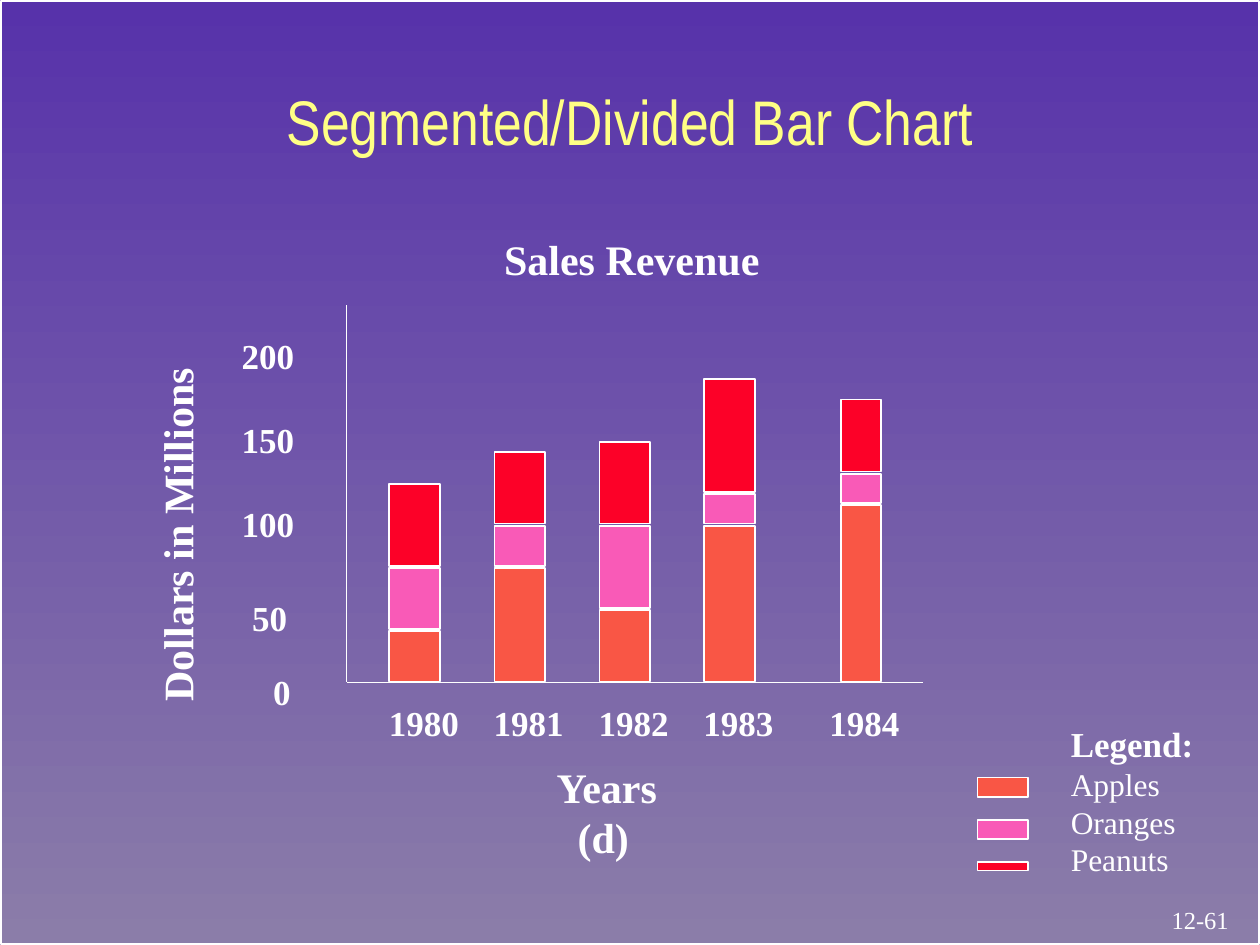
import pptx
import pptx.dml.color
import pptx.enum.shapes
import pptx.enum.text
import pptx.util
from lxml import etree

Pt = pptx.util.Pt
ALIGN = pptx.enum.text.PP_ALIGN
RECT = pptx.enum.shapes.MSO_SHAPE.RECTANGLE
LINE = pptx.enum.shapes.MSO_CONNECTOR.STRAIGHT
WHITE = "FFFFFF"
SERIF = "Times New Roman"


def tint(text):
    return pptx.dml.color.RGBColor.from_string(text)


def box(left, top, width, height, fill=None):
    """Add a white-edged rectangle, hollow unless a fill is given."""
    shape = slide.shapes.add_shape(RECT, Pt(left), Pt(top), Pt(width), Pt(height))
    shape.shadow.inherit = False
    if fill:
        shape.fill.solid()
        shape.fill.fore_color.rgb = tint(fill)
    else:
        shape.fill.background()
    shape.line.color.rgb = tint(WHITE)
    shape.line.width = Pt(1)


deck = pptx.Presentation()
deck.slide_width, deck.slide_height = Pt(720), Pt(540)
slide = deck.slides.add_slide(deck.slide_layouts[6])

back = slide.background.fill
back.gradient()
back.gradient_angle = 270
for stop, color in zip(back.gradient_stops, ["5732AA", "8B7DA9"]):
    stop.color.rgb = tint(color)
back.gradient_stops[0].position = 0
back.gradient_stops[1].position = 1

box(0.5, 0.5, 719, 539)

# Axes
for ends in [(198, 174.4, 198, 389.5), (198.5, 390, 527.7, 390)]:
    axis = slide.shapes.add_connector(LINE, *[Pt(end) for end in ends])
    axis.line.color.rgb = tint(WHITE)
    axis.line.width = Pt(1)
    props = axis.line._get_or_add_ln().getparent()
    etree.SubElement(props, pptx.oxml.ns.qn("a:effectLst"))

# Stacked bars: year, label left, bar left, bar width, top of each segment
fills = {"Apples": "F95645", "Oranges": "F95AB7", "Peanuts": "FC0128"}
bars = [
    ("1980", 215.1, 222.5, 29, [360.7, 324.7, 276.5]),
    ("1981", 275, 282.5, 29, [324.7, 300.4, 258.5]),
    ("1982", 335, 342.5, 29, [348.5, 300.4, 252.7]),
    ("1983", 394.8, 402.5, 29, [300.4, 282.4, 216.7]),
    ("1984", 466.8, 480.4, 23, [288.7, 270.7, 228.4]),
]
for year, _, left, width, tops in bars:
    base = 389.5
    for top, fill in zip(tops, fills.values()):
        box(left, top, width, base - top, fill)
        base = top - 1.2

# Legend keys
for fill, top, height in zip(fills.values(), [444.3, 468.5, 492.5], [11, 11, 5]):
    box(558.5, top, 29, height, fill)

# Texts: lines, left, top, width, height, size, bold
texts = [
    (["0"], 149, 379.5, 24.5, 31, 20, True),
    (["50"], 137, 337.5, 34.5, 31, 20, True),
    (["100"], 131, 283.5, 44.5, 31, 20, True),
    (["150"], 131, 235.5, 44.5, 31, 20, True),
    (["200"], 131, 187.5, 44.5, 31, 20, True),
    (["Sales Revenue"], 281, 129.8, 160.5, 36, 24, True),
    (["Years", "(d)"], 311, 431.5, 74, 65, 24, True),
    (["Dollars in Millions"], -1.5, 287.5, 205, 36, 24, True),
    (["Legend:", *fills], 604.8, 409.5, 100, 96, 20, True),
    (["12-61"], 651.8, 513.4, 68, 24.5, 14, False),
    (["Segmented/Divided Bar Chart"], 54, 24, 612, 90, 36, False),
]
texts += [([year], left, 397.5, 54.5, 31, 20, True) for year, left, *_ in bars]

for lines, left, top, width, height, size, bold in texts:
    label = slide.shapes.add_textbox(Pt(left), Pt(top), Pt(width), Pt(height))
    frame = label.text_frame
    frame.text = "\n".join(lines)
    title = size == 36
    # The title and the legend keep their set width
    frame.word_wrap = title or len(lines) > 2
    if not title:
        frame.auto_size = pptx.enum.text.MSO_AUTO_SIZE.SHAPE_TO_FIT_TEXT
    if not bold:
        frame.vertical_anchor = pptx.enum.text.MSO_ANCHOR.MIDDLE
    if lines[0].startswith("Dollars"):
        label.rotation = 270
    for par in frame.paragraphs:
        if par.text == "(d)":
            par._p.get_or_add_pPr().set("marL", str(Pt(12)))
        par.alignment = ALIGN.LEFT if bold else ALIGN.CENTER
        entry = par.text in fills
        par.font.size = Pt(18 if entry else size)
        par.font.bold = bold and not entry
        par.font.name = "Arial Narrow" if title else SERIF
        par.font.color.rgb = tint("FFFF85" if title else WHITE)

deck.save("out.pptx")
